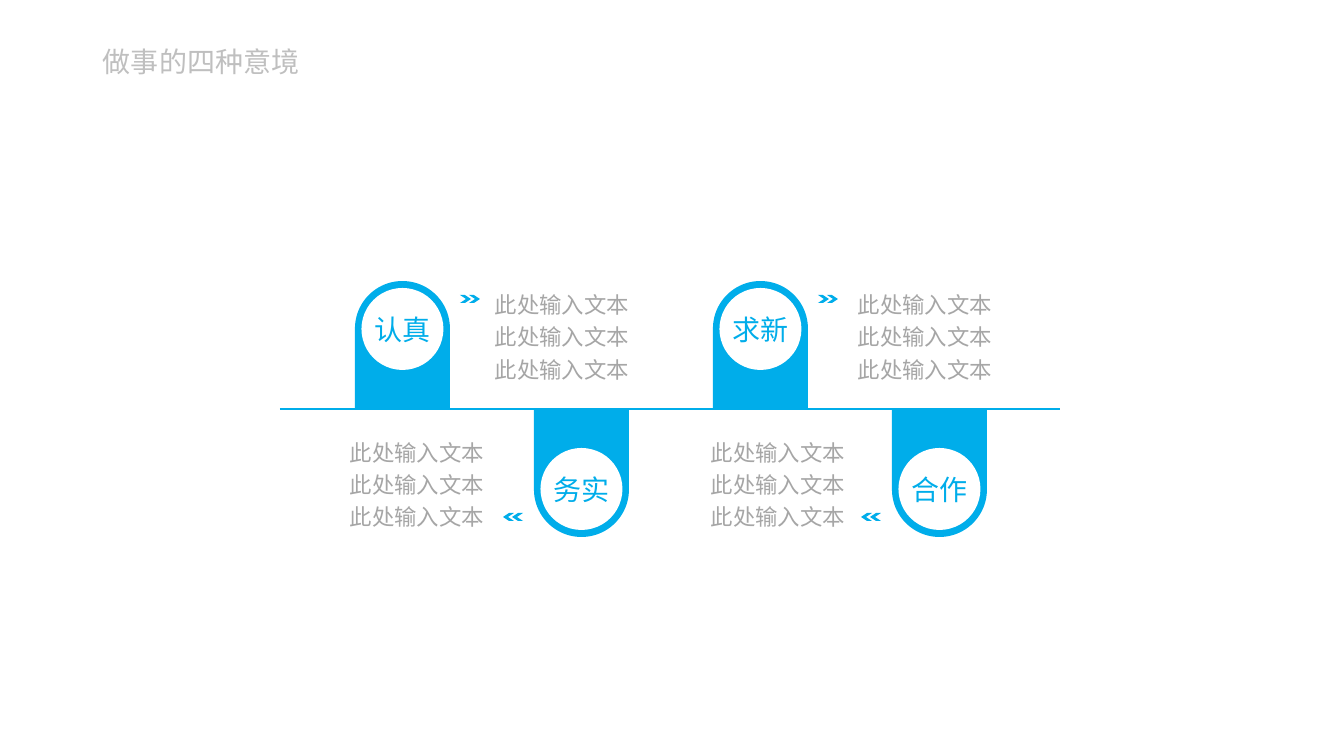
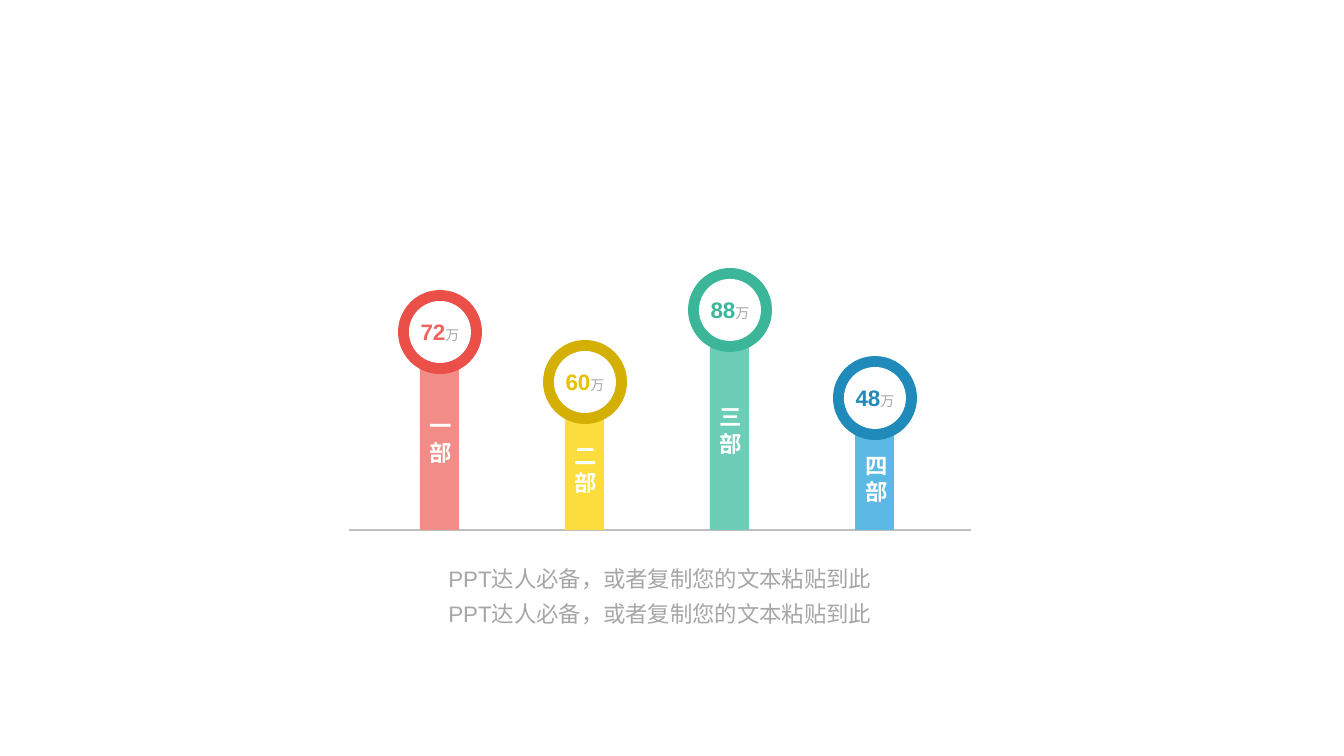
from lxml import etree
from pptx import Presentation
from pptx import util as u
from pptx.dml.color import RGBColor
from pptx.enum import shapes, text
from pptx.oxml.ns import qn

ALIGN = text.PP_ALIGN
ANCHOR = text.MSO_ANCHOR
SHAPE = shapes.MSO_SHAPE


def px(length):
    return u.Emu(round(length * 914400 / 100.8))


def rgb(color):
    return RGBColor.from_string(color)


class Deck:
    FONT = "Arial"
    ACCENT = "00ADEA"
    WHITE = "FFFFFF"
    BODY = "A6A6A6"
    MUTED = "BFBFBF"

    def __init__(self):
        self.presentation = Presentation()
        self.presentation.slide_width = px(1344)
        self.presentation.slide_height = px(756)
        self.slide = None

    def new_slide(self):
        self.slide = self.presentation.slides.add_slide(self.presentation.slide_layouts[6])

    def font(self, run, size, color, bold=False):
        run.font.name = self.FONT
        run.font.size = u.Pt(size)
        run.font.bold = bold
        run.font.color.rgb = rgb(color)

    def label(self, shape, content, size, color, bold=False, align=ALIGN.CENTER,
              anchor=ANCHOR.MIDDLE, insets=(0, 0, 0, 0), spacing=1.0, wrap=True):
        frame = shape.text_frame
        frame.text = content
        frame.word_wrap = wrap
        frame.vertical_anchor = anchor
        frame.margin_left, frame.margin_top, frame.margin_right, frame.margin_bottom = map(px, insets)
        for paragraph in frame.paragraphs:
            paragraph.alignment = align
            paragraph.line_spacing = spacing
            for run in paragraph.runs:
                self.font(run, size, color, bold)

    def shape(self, kind, left, top, width, height, color, adjustments=()):
        shape = self.slide.shapes.add_shape(kind, px(left), px(top), px(width), px(height))
        shape.shadow.inherit = False
        shape.fill.solid()
        shape.fill.fore_color.rgb = rgb(color)
        shape.line.fill.background()
        for index, value in enumerate(adjustments):
            shape.adjustments[index] = value
        return shape

    def circle(self, center_x, center_y, diameter, color):
        return self.shape(SHAPE.OVAL, center_x - diameter / 2, center_y - diameter / 2,
                          diameter, diameter, color)

    def text(self, left, top, width, height, content, size, color, **style):
        box = self.slide.shapes.add_textbox(px(left), px(top), px(width), px(height))
        self.label(box, content, size, color, **style)

    def title(self, content):
        self.text(93, 40, 680, 47, content, 20, self.MUTED, align=ALIGN.LEFT,
                  insets=(10, 5, 10, 5), spacing=0.9)

    def baseline(self, left, right, y, color):
        line = self.slide.shapes.add_connector(
            shapes.MSO_CONNECTOR.STRAIGHT, px(left), px(y), px(right), px(y))
        line.line.color.rgb = rgb(color)
        line.line.width = u.Pt(2)
        etree.SubElement(line._element.spPr, qn("a:effectLst"))

    def chevrons(self, left, top, rotation):
        for offset in (0, 9):
            chevron = self.shape(SHAPE.CHEVRON, left + offset, top, 11, 8, self.ACCENT, [0.75])
            chevron.rotation = rotation

    def capsule(self, left, axis, name, upward):
        width, height, rim, diameter = 95, 128, 7, 82
        top = axis - height if upward else axis
        corners = (0.5, 0) if upward else (0, 0.5)
        self.shape(SHAPE.ROUND_2_SAME_RECTANGLE, left, top, width, height, self.ACCENT, corners)
        reach = rim + diameter / 2
        center_y = top + reach if upward else top + height - reach
        disc = self.circle(left + width / 2, center_y, diameter, self.WHITE)
        self.label(disc, name, 20, self.ACCENT, wrap=False)

    def pillar(self, center, ring_y, axis, name, value, inset, colors):
        bar_color, ring_color, value_color = colors
        bar = self.shape(SHAPE.RECTANGLE, center - 20, ring_y + 1, 39, axis - ring_y - 1, bar_color)
        self.label(bar, name, 16, self.WHITE, bold=True, insets=(10, inset, 10, 5))
        self.circle(center, ring_y, 84, ring_color)
        disc = self.circle(center, ring_y, 62, self.WHITE)
        self.label(disc, value, 16, value_color, bold=True, wrap=False)
        unit = disc.text_frame.paragraphs[0].add_run()
        unit.text = "万"
        self.font(unit, 10, self.BODY)


def build_principles(deck):
    deck.new_slide()
    deck.title("做事的四种意境")
    axis = 409
    details = "\n".join(["此处输入文本"] * 3)
    principles = [("认真", 495), ("务实", 323), ("求新", 858), ("合作", 684)]
    for index, (name, text_left) in enumerate(principles):
        left = 355 + 179 * index
        upward = index % 2 == 0
        deck.capsule(left, axis, name, upward)
        if upward:
            deck.chevrons(left + 105, 295, 0)
            top, align, anchor = 286, ALIGN.LEFT, ANCHOR.TOP
        else:
            deck.chevrons(left - 31, 513, 180)
            top, align, anchor = 428, ALIGN.RIGHT, ANCHOR.BOTTOM
        deck.text(text_left, top, 161, 102, details, 16, deck.BODY,
                  align=align, anchor=anchor, spacing=1.2)
    deck.baseline(280, 1060, axis, deck.ACCENT)


def build_departments(deck):
    deck.new_slide()
    axis = 530
    deck.baseline(349, 971, axis, deck.MUTED)
    departments = [
        ("一部", "72", 332, 20, ("F18C87", "EA5048", "ED655F")),
        ("二部", "60", 382, 31, ("FDDD3D", "D3B003", "E7C103")),
        ("三部", "88", 310, 24, ("6CCEB7", "3CB699", "3CB699")),
        ("四部", "48", 398, 33, ("5BB9E3", "208ABA", "208ABA")),
    ]
    for index, (name, value, ring_y, inset, colors) in enumerate(departments):
        deck.pillar(440 + 145 * index, ring_y, axis, name, value, inset, colors)
    caption = "\n".join(["PPT达人必备，或者复制您的文本粘贴到此"] * 2)
    deck.text(349, 539, 622, 106, caption, 16, deck.BODY, insets=(10, 0, 10, 0), spacing=1.3)


def main():
    deck = Deck()
    build_principles(deck)
    build_departments(deck)
    deck.presentation.save("out.pptx")


if __name__ == "__main__":
    main()
